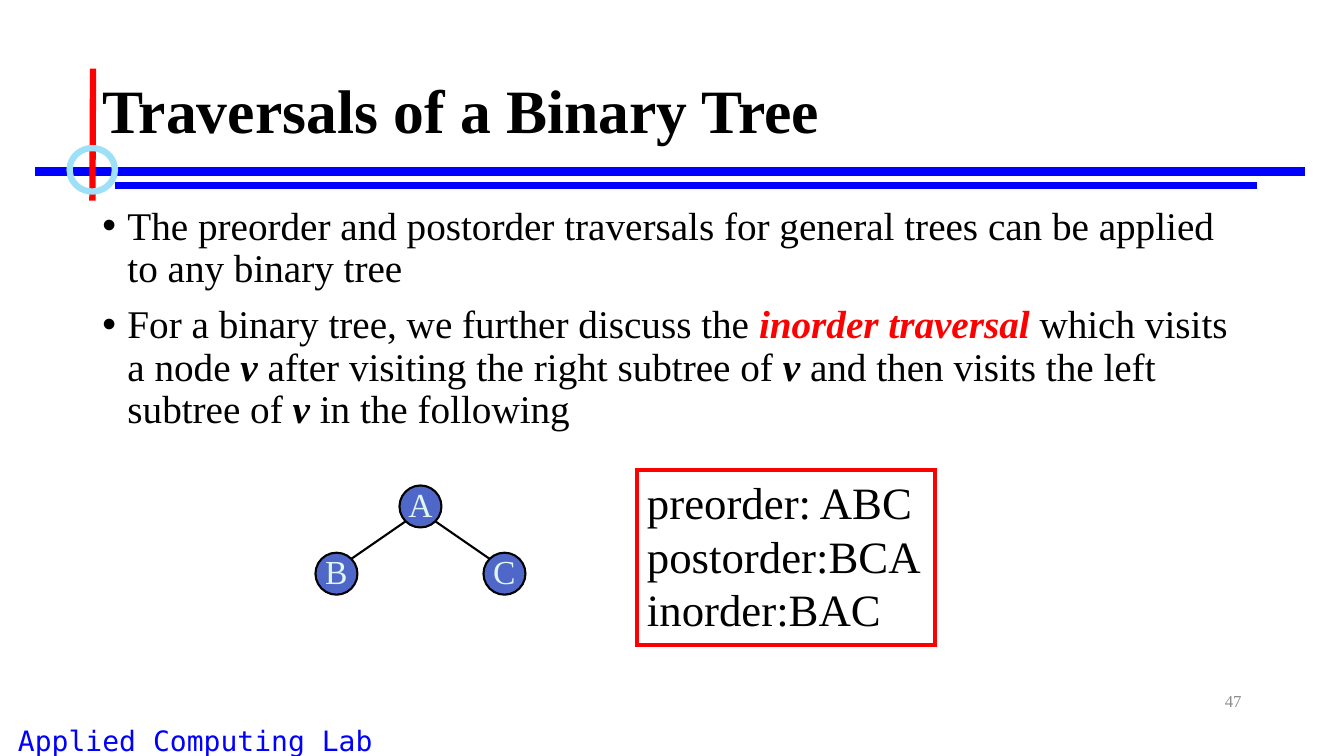
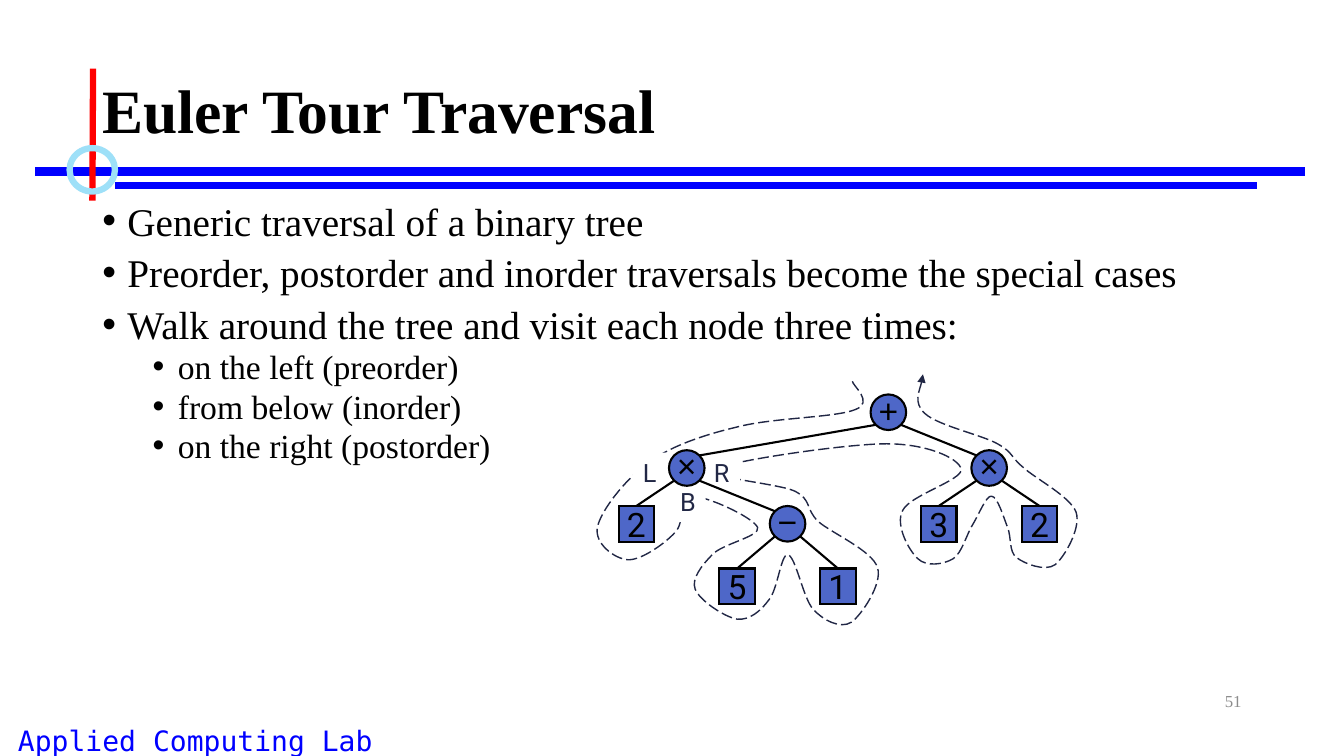
import math

import pptx
import pptx.dml.color
import pptx.enum.dml
import pptx.enum.shapes
import pptx.enum.text
import pptx.oxml
import pptx.oxml.ns
import pptx.util

PX = 3048  # 300 px to the inch
SHAPE = pptx.enum.shapes.MSO_SHAPE
ALIGN = pptx.enum.text.PP_ALIGN
ANCHOR = pptx.enum.text.MSO_ANCHOR

SERIF, MONO, SANS, SYMBOL = "Times New Roman", "DejaVu Sans Mono", "Roboto", "Arial"
BLACK, WHITE, RED, BLUE = "000000", "FFFFFF", "FF0000", "0000FF"
SKY, NODE, MINT, NAVY, GREY = "9EE0F8", "4E67C8", "DFF5EF", "212745", "8C8C8C"
BODY = (275, 599, 3450, 1428)

# Cubic curves of the tour: a start point, then two controls and an end for each curve.
# They are drawn on a grid of TOUR_STEP px whose origin is TOUR_ORIGIN.
TOUR_STEP = 3
TOUR_ORIGIN = (614, 391)
TOUR_START = (846, 378)
TOUR_CURVES = [
    (846, 382, 868, 399, 849, 406), (830, 414, 768, 414, 733, 423),
    (699, 431, 666, 442, 643, 459), (620, 476, 596, 507, 593, 523),
    (590, 539, 610, 554, 623, 555), (636, 556, 660, 539, 670, 528),
    (681, 517, 672, 493, 686, 492), (700, 491, 748, 513, 752, 523),
    (755, 532, 717, 539, 707, 550), (697, 560, 686, 574, 690, 584),
    (694, 595, 719, 612, 732, 614), (744, 615, 755, 606, 763, 595),
    (772, 585, 775, 549, 782, 550), (790, 552, 797, 593, 807, 604),
    (817, 615, 834, 624, 845, 617), (855, 610, 876, 579, 871, 563),
    (866, 546, 826, 529, 812, 517), (799, 504, 806, 496, 789, 487),
    (772, 479, 694, 473, 710, 465), (725, 457, 839, 440, 880, 440),
    (920, 440, 951, 454, 954, 465), (956, 476, 903, 491, 896, 506),
    (888, 520, 902, 546, 911, 554), (919, 562, 936, 560, 946, 554),
    (955, 548, 959, 530, 966, 519), (972, 509, 979, 491, 984, 492),
    (990, 492, 996, 513, 1000, 523), (1004, 533, 1001, 547, 1009, 553),
    (1017, 559, 1037, 567, 1047, 560), (1056, 553, 1073, 524, 1068, 508),
    (1062, 492, 1028, 475, 1015, 463), (1002, 452, 1006, 449, 990, 440),
    (974, 431, 931, 422, 918, 410), (906, 399, 916, 379, 916, 371),
]


def rgb(hex_string):
    return pptx.dml.color.RGBColor.from_string(hex_string)


def emu(*lengths):
    return [round(v * PX) for v in lengths]


def element(tag, attributes=""):
    return pptx.oxml.parse_xml(f'<a:{tag} {pptx.oxml.ns.nsdecls("a")} {attributes}/>')


def style_line(line, color, width):
    line.color.rgb = rgb(color)
    line.width = pptx.util.Pt(width)


def add_runs(p, runs, size, font, color=BLACK):
    """Each run is plain text, or a (text, colour) pair set in bold italic."""
    for item in runs:
        text, tint = (item, None) if isinstance(item, str) else item
        r = p.add_run()
        r.text = text
        r.font.size = pptx.util.Pt(size)
        r.font.name = font
        r.font.color.rgb = rgb(tint or color)
        if tint:
            r.font.bold = r.font.italic = True


def add_text(s, box, text, size, font, color=BLACK, align=ALIGN.LEFT, anchor=ANCHOR.TOP):
    tf = s.shapes.add_textbox(*emu(*box)).text_frame
    tf.word_wrap = True
    tf.vertical_anchor = anchor
    p = tf.paragraphs[0]
    p.alignment = align
    add_runs(p, [text], size, font, color)
    return p


def add_box(s, kind, box, fill=None, line=None, width=1.5):
    sp = s.shapes.add_shape(kind, *emu(*box))
    sp.shadow.inherit = False
    if fill:
        sp.fill.solid()
        sp.fill.fore_color.rgb = rgb(fill)
    else:
        sp.fill.background()
    if line:
        style_line(sp.line, line, width)
        if kind == SHAPE.RECTANGLE:
            sp.line._get_or_add_ln().append(element("miter", 'lim="800000"'))
    else:
        sp.line.fill.background()
    return sp


def set_label(sp, lines, size, font, color, align=ALIGN.CENTER, grow=False):
    """Centred in the shape's height, or from the top with the shape fitted to it."""
    tf = sp.text_frame
    tf.word_wrap = False
    tf.vertical_anchor = ANCHOR.TOP if grow else ANCHOR.MIDDLE
    if grow:
        tf.auto_size = pptx.enum.text.MSO_AUTO_SIZE.SHAPE_TO_FIT_TEXT
    for i, text in enumerate(lines):
        p = tf.add_paragraph() if i else tf.paragraphs[0]
        p.alignment = align
        add_runs(p, [text], size, font, color)


def add_line(s, start, end, color, width):
    c = s.shapes.add_connector(pptx.enum.shapes.MSO_CONNECTOR.STRAIGHT, *emu(*start, *end))
    style_line(c.line, color, width)
    c._element.spPr.append(element("effectLst"))
    return c


def add_frame(prs, title, number):
    """A slide with the footer, crossing rules, title and number."""
    s = prs.slides.add_slide(prs.slide_layouts[6])
    add_text(s, (24, 2139, 1500, 111), "Applied Computing Lab", 20, MONO, BLUE)
    add_line(s, (105, 510), (3885, 510), BLUE, 6)
    add_line(s, (342, 552), (3741, 552), BLUE, 4.5)
    add_line(s, (277, 204), (275, 597), RED, 4.5)
    add_box(s, SHAPE.OVAL, (207, 441, 135, 129), line=SKY, width=4.5)
    p = add_text(s, (275, 120, 3450, 435), title, 44, SERIF, anchor=ANCHOR.MIDDLE)
    p.line_spacing = 0.9
    p.runs[0].font.bold = True
    add_text(s, (2825, 2025, 900, 120), str(number), 12, SERIF, GREY,
             ALIGN.RIGHT, ANCHOR.MIDDLE)
    return s


def add_bullets(s, box, items, spacing):
    """Items are (level, runs) pairs."""
    tf = s.shapes.add_textbox(*emu(*box)).text_frame
    tf.word_wrap = True
    for i, (level, runs) in enumerate(items):
        p = tf.add_paragraph() if i else tf.paragraphs[0]
        p.level = level
        p.line_spacing = spacing
        p.space_before = pptx.util.Pt((10, 5)[level])
        pPr = p._p.get_or_add_pPr()
        pPr.set("marL", str(emu(75 + 150 * level)[0]))
        pPr.set("indent", str(emu(-75)[0]))
        pPr.append(element("buFont", f'typeface="{SYMBOL}"'))
        pPr.append(element("buChar", 'char="•"'))
        add_runs(p, runs, (28, 24)[level], SERIF)


def add_circle_node(s, box, text, font, color):
    sp = add_box(s, SHAPE.OVAL, box, NODE, BLACK)
    tf = sp.text_frame
    tf.margin_left = tf.margin_right = tf.margin_top = 0
    tf.margin_bottom = emu(15)[0]
    set_label(sp, [text], 24, font, color)
    return sp


def add_square_node(s, box, text):
    sp = add_box(s, SHAPE.RECTANGLE, box, NODE, BLACK)
    set_label(sp, [text], 24, SANS, BLACK)
    return sp


def circle_corner(sp, side, below):
    """The point on the circle 45° to one side (-1 or 1), above or below (-1 or 1)."""
    reach = sp.width / 2 * math.sqrt(0.5)
    x = sp.left + sp.width / 2 + side * reach
    y = sp.top + sp.height / 2 + below * reach
    return x / PX, y / PX


def add_edge(s, parent, child):
    side = 1 if child.left > parent.left else -1
    c = add_line(s, circle_corner(parent, side, 1), circle_corner(child, -side, -1),
                 BLACK, 1.5)
    if child.auto_shape_type == SHAPE.RECTANGLE:
        c.end_connect(child, 0)


def add_small_tree(s, left, top):
    a, b, c = (add_circle_node(s, (left + dx, top + dy, 125, 125), text, SERIF, MINT)
               for text, dx, dy in (("A", 250, 0), ("B", 0, 200), ("C", 500, 200)))
    add_edge(s, a, b)
    add_edge(s, a, c)


def add_orders(s, box, lines):
    sp = add_box(s, SHAPE.RECTANGLE, box, line=RED, width=3)
    set_label(sp, lines, 32, SERIF, BLACK, ALIGN.LEFT, grow=True)


def bend(sp):
    """Turn every three straight segments of a freeform into one cubic curve."""
    segments = list(sp._element.iter(pptx.oxml.ns.qn("a:lnTo")))
    for i in range(0, len(segments), 3):
        curve = element("cubicBezTo")
        segments[i].addprevious(curve)
        for segment in segments[i:i + 3]:
            curve.append(segment[0])
            segment.getparent().remove(segment)


def add_tour(s, left, top):
    """The dashed walk around the tree whose corner is at left, top."""
    def place(x, y):
        return emu(left + TOUR_STEP * (x - TOUR_ORIGIN[0]),
                   top + TOUR_STEP * (y - TOUR_ORIGIN[1]))

    builder = s.shapes.build_freeform(*place(*TOUR_START), scale=1.0)
    builder.add_line_segments([place(*curve[i:i + 2]) for curve in TOUR_CURVES
                               for i in (0, 2, 4)], close=False)
    sp = builder.convert_to_shape()
    bend(sp)
    sp.shadow.inherit = False
    sp.fill.background()
    style_line(sp.line, NAVY, 1)
    sp.line.dash_style = pptx.enum.dml.MSO_LINE.LONG_DASH
    sp.line._get_or_add_ln().append(element("tailEnd", 'type="triangle"'))


def add_expression_tree(s, left, top):
    """Nodes stand on columns 150 px apart, with the tour and visit labels behind."""
    add_tour(s, left, top)
    for text, x, y, w in (("L", 43, 173, 99), ("B", 154, 260, 105), ("R", 253, 173, 108)):
        sp = add_box(s, SHAPE.RECTANGLE, (left + x, top + y, w, 120), WHITE)
        set_label(sp, [text], 18, SANS, NAVY, grow=True)

    rows = (0, 166, 332, 518)
    # text, column, row, index of the parent
    nodes = [("+", 5, 0, None), ("×", 1, 1, 0), ("×", 7, 1, 0), ("2", 0, 2, 1),
             ("−", 3, 2, 1), ("3", 6, 2, 2), ("2", 8, 2, 2), ("5", 2, 3, 4), ("1", 4, 3, 4)]
    shapes = []
    for text, column, row, parent in nodes:
        box = (left + 150 * column, top + rows[row], 106, 106)
        if text.isdigit():
            sp = add_square_node(s, box, text)
        else:
            sp = add_circle_node(s, box, text, SYMBOL, BLACK)
        if parent is not None:
            add_edge(s, shapes[parent], sp)
        shapes.append(sp)


def build_traversals(prs):
    s = add_frame(prs, "Traversals of a Binary Tree", 47)
    v = ("v", BLACK)
    add_bullets(s, BODY, [
        (0, ["The preorder and postorder traversals for general trees can be applied "
             "to any binary tree"]),
        (0, ["For a binary tree, we further discuss the ", ("inorder traversal ", RED),
             "which visits a node ", v, " after visiting the right subtree of ", v,
             " and then visits the left subtree of ", v, " in the following"]),
    ], 0.9)
    add_small_tree(s, 939, 1445)
    add_orders(s, (1896, 1398, 888, 522), ["preorder: ABC", "postorder:BCA", "inorder:BAC"])


def build_euler_tour(prs):
    s = add_frame(prs, "Euler Tour Traversal", 51)
    add_bullets(s, BODY, [
        (0, ["Generic traversal of a binary tree"]),
        (0, ["Preorder, postorder and inorder traversals become the special cases"]),
        (0, ["Walk around the tree and visit each node three times:"]),
        (1, ["on the left (preorder)"]),
        (1, ["from below (inorder)"]),
        (1, ["on the right (postorder)"]),
    ], 0.8)
    add_expression_tree(s, 1841, 1174)


def main():
    prs = pptx.Presentation()
    prs.slide_width, prs.slide_height = emu(4000, 2250)
    build_traversals(prs)
    build_euler_tour(prs)
    prs.save("out.pptx")


if __name__ == "__main__":
    main()
